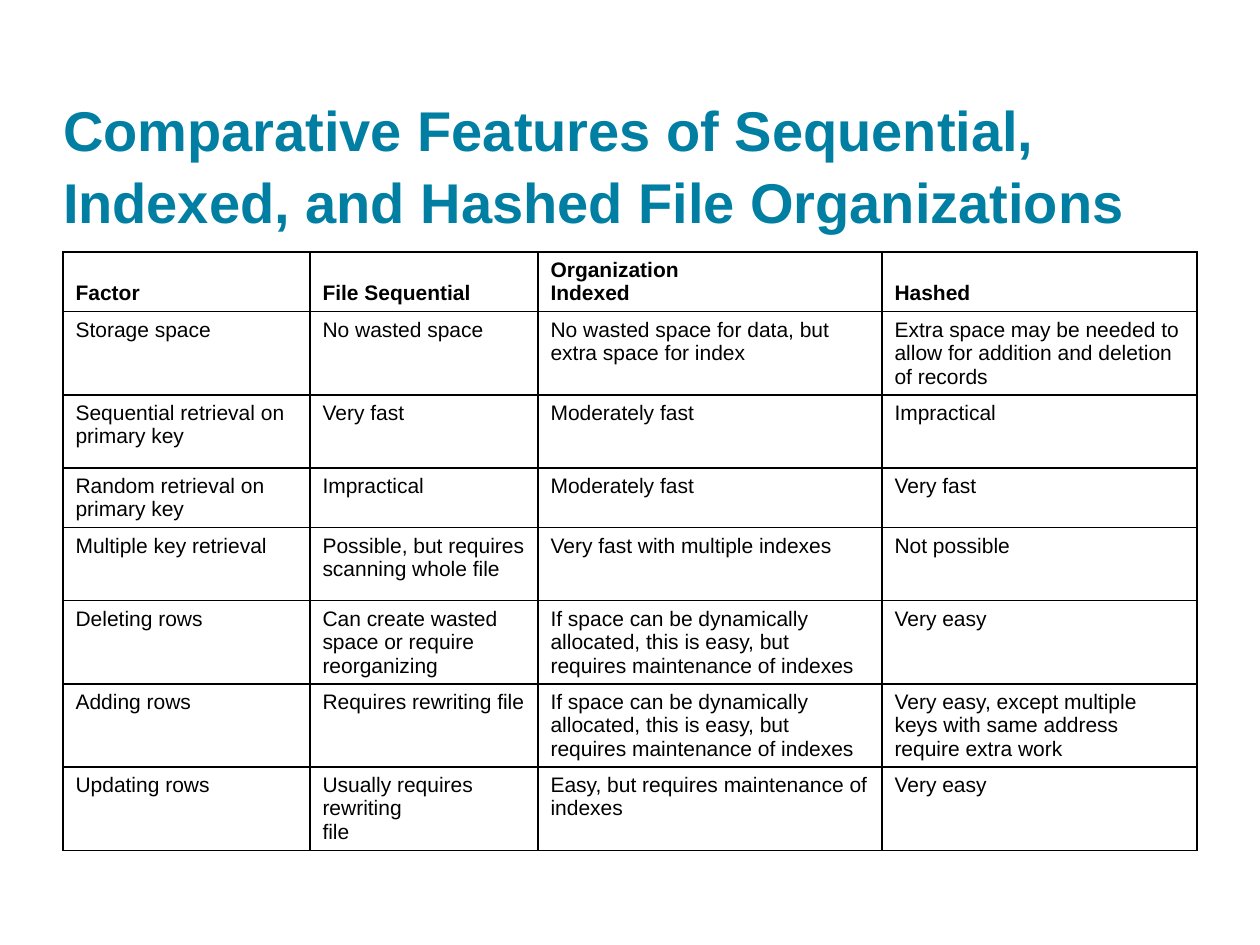
"""Build a slide comparing sequential, indexed and hashed file organizations."""
from dataclasses import dataclass

from lxml import etree
from pptx import Presentation
from pptx.dml.color import RGBColor
from pptx.enum import text
from pptx.oxml import ns
from pptx.util import Inches, Pt


@dataclass(frozen=True)
class Theme:
    font: str = "Arial"
    title_color: str = "007FA3"
    ink: str = "000000"
    title_size: int = 32
    cell_size: int = 12
    border: int = 1


THEME = Theme()
TITLE = "Comparative Features of Sequential, Indexed, and Hashed File Organizations"
COL_WIDTHS = (1.96, 1.81, 2.73, 2.5)
ROW_HEIGHTS = (0.25, 0.58, 0.58, 0.46, 0.58, 0.46, 0.58, 0.58)
DYNAMIC_SPACE = ("If space can be dynamically allocated, this is easy, "
                 "but requires maintenance of indexes")
ROWS = (
    ("Factor", "File Sequential", "Organization\nIndexed", "Hashed"),
    ("Storage space", "No wasted space",
     "No wasted space for data, but extra space for index",
     "Extra space may be needed to allow for addition and deletion of records"),
    ("Sequential retrieval on primary key", "Very fast", "Moderately fast", "Impractical"),
    ("Random retrieval on\nprimary key", "Impractical", "Moderately fast", "Very fast"),
    ("Multiple key retrieval", "Possible, but requires scanning whole file",
     "Very fast with multiple indexes", "Not possible"),
    ("Deleting rows", "Can create wasted space or require reorganizing",
     DYNAMIC_SPACE, "Very easy"),
    ("Adding rows", "Requires rewriting file", DYNAMIC_SPACE,
     "Very easy, except multiple keys with same address require extra work"),
    ("Updating rows", "Usually requires rewriting\nfile",
     "Easy, but requires maintenance of\nindexes", "Very easy"),
)


def write(tf, content, *, size, color, bold=False, spacing=None):
    tf.text = content
    tf.word_wrap = True
    for p in tf.paragraphs:
        p.alignment = text.PP_ALIGN.LEFT
        if spacing:
            p.line_spacing = spacing
        for r in p.runs:
            r.font.name = THEME.font
            r.font.size = Pt(size)
            r.font.bold = bold
            r.font.color.rgb = RGBColor.from_string(color)


def add_title(s):
    sp = s.shapes.title
    sp.left, sp.top, sp.width, sp.height = map(Inches, (0.5, 0.24, 9, 1.62))
    tf = sp.text_frame
    tf.auto_size = text.MSO_AUTO_SIZE.NONE
    tf.vertical_anchor = text.MSO_ANCHOR.BOTTOM
    tf.margin_left = tf.margin_top = tf.margin_right = tf.margin_bottom = 0
    write(tf, TITLE, size=THEME.title_size, color=THEME.title_color,
          bold=True, spacing=1.07)


def set_borders(cell):
    props = cell._tc.get_or_add_tcPr()
    for i, side in enumerate(("lnL", "lnR", "lnT", "lnB")):
        line = etree.Element(ns.qn(f"a:{side}"), w=str(Pt(THEME.border)))
        fill = etree.SubElement(line, ns.qn("a:solidFill"))
        etree.SubElement(fill, ns.qn("a:srgbClr"), val=THEME.ink)
        props.insert(i, line)


def fill_cell(cell, content, header):
    cell.fill.background()
    cell.vertical_anchor = text.MSO_ANCHOR.BOTTOM if header else text.MSO_ANCHOR.TOP
    cell.margin_left = cell.margin_right = Inches(0.1)
    cell.margin_top = cell.margin_bottom = Inches(0.05)
    write(cell.text_frame, content, size=THEME.cell_size, color=THEME.ink, bold=header)
    set_borders(cell)


def add_comparison(s):
    table = s.shapes.add_table(
        len(ROWS), len(COL_WIDTHS), Inches(0.5), Inches(2),
        Inches(sum(COL_WIDTHS)), Inches(sum(ROW_HEIGHTS))).table
    table.horz_banding = False
    for column, width in zip(table.columns, COL_WIDTHS):
        column.width = Inches(width)
    for i, (row, height) in enumerate(zip(table.rows, ROW_HEIGHTS)):
        row.height = Inches(height)
        for cell, content in zip(row.cells, ROWS[i]):
            fill_cell(cell, content, header=i == 0)


def main():
    prs = Presentation()
    prs.slide_width, prs.slide_height = Inches(10), Inches(7.5)
    s = prs.slides.add_slide(prs.slide_layouts[5])
    add_title(s)
    add_comparison(s)
    prs.save("out.pptx")


if __name__ == "__main__":
    main()
